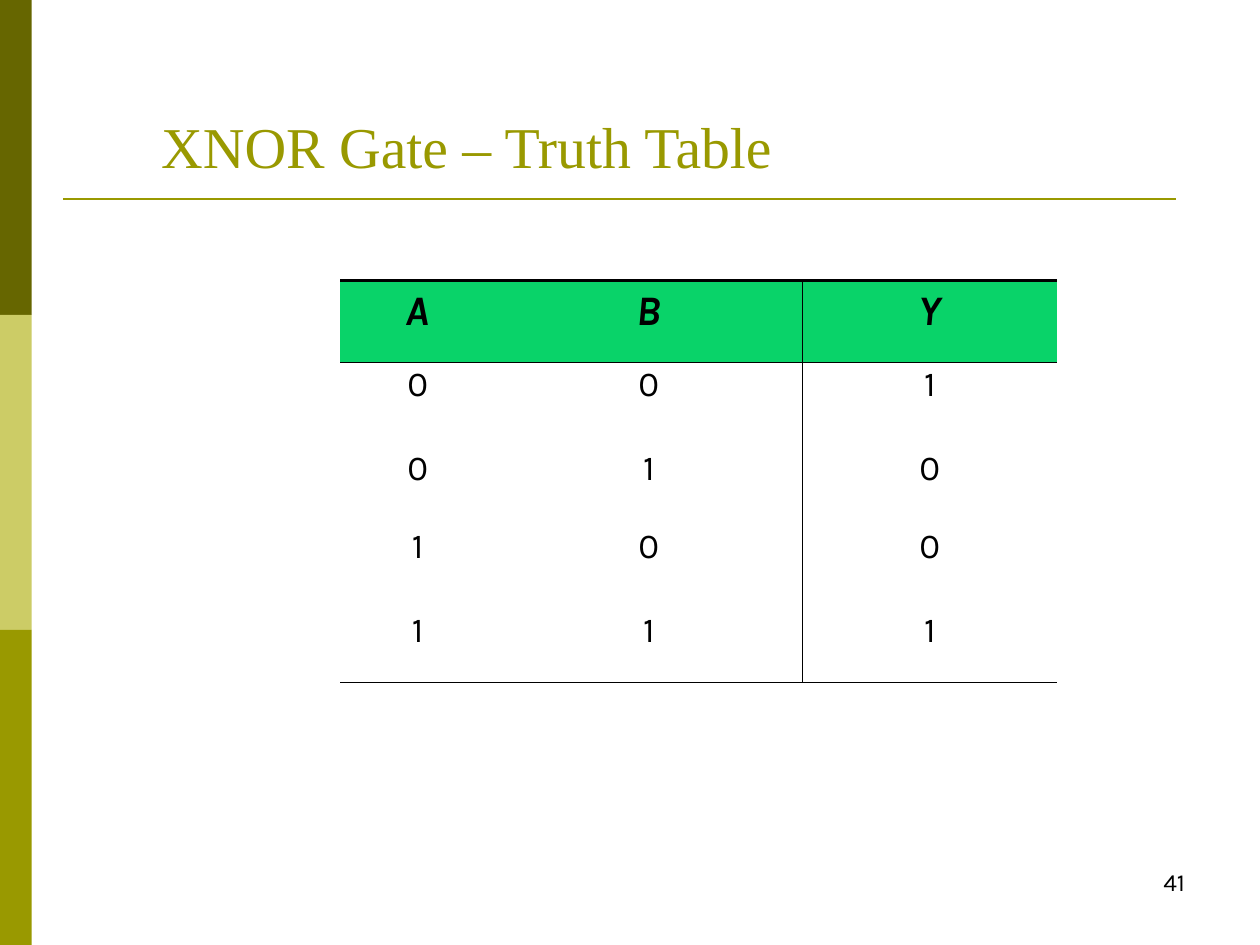
"""Build the XNOR gate truth table slide."""
from lxml.etree import SubElement
from pptx import Presentation
from pptx.dml.color import RGBColor
from pptx.enum.shapes import MSO_CONNECTOR as Connector, MSO_SHAPE as Shape
from pptx.enum.text import MSO_ANCHOR as Anchor, PP_ALIGN as Align
from pptx.oxml.ns import qn
from pptx.util import Cm, Pt


def color(value):
    return RGBColor.from_string(value)


def write(frame, text, align, fonts, **spacing):
    paragraph = frame.paragraphs[0]
    paragraph.alignment = align
    for key, value in spacing.items():
        setattr(paragraph, key, value)
    run = paragraph.add_run()
    run.text = text
    run.font.color.rgb = color(fonts["color"])
    for key in fonts.keys() - {"color"}:
        setattr(run.font, key, fonts[key])


OLIVE, BLACK, GREEN = "999900", "000000", "09D369"
TITLE = {"name": "Times New Roman", "size": Pt(33), "color": OLIVE}
HEADER = {"name": "Karla", "size": Pt(24), "color": BLACK, "bold": True, "italic": True}
BODY = {"name": "Karla", "size": Pt(20), "color": BLACK, "bold": False}
NUMBER = {"name": "Karla", "size": Pt(14), "color": BLACK}

deck = Presentation()
deck.slide_width, deck.slide_height = Cm(25.4), Cm(19.05)
slide = deck.slides.add_slide(deck.slide_layouts[6])
shapes = slide.shapes

for index, shade in enumerate(["666600", "CCCC66", OLIVE]):
    band = shapes.add_shape(Shape.RECTANGLE, 0, Cm(6.35 * index), Cm(0.64), Cm(6.35))
    band.shadow.inherit = False
    band.fill.solid()
    band.fill.fore_color.rgb = color(shade)
    band.line.fill.background()

rule = shapes.add_connector(Connector.STRAIGHT, Cm(1.27), Cm(4.01), Cm(23.7), Cm(4.01))
rule.line.color.rgb = color(OLIVE)
rule.line.width = Pt(1.5)
SubElement(rule._element.spPr, qn("a:effectLst"))

for text, place, anchor, align, fonts in [
    ("XNOR Gate – Truth Table", (3, 1.35, 21.6, 3.18), Anchor.MIDDLE, Align.LEFT, TITLE),
    ("41", (18.21, 17.35, 5.93, 1.27), Anchor.TOP, Align.RIGHT, NUMBER),
]:
    frame = shapes.add_textbox(*map(Cm, place)).text_frame
    frame.word_wrap = True
    frame.vertical_anchor = anchor
    write(frame, text, align, fonts)

truth = [["A", "B", "Y"]] + [[a, b, int(a == b)] for a in (0, 1) for b in (0, 1)]
widths = [3.12, 6.2, 5.13]
heights = [1.65, 1.68, 1.57, 1.7, 1.5]
table = shapes.add_table(len(truth), len(widths), Cm(6.86), Cm(5.66),
                         Cm(sum(widths)), Cm(sum(heights))).table
table.first_row = table.horz_banding = False
for column, width in zip(table.columns, widths):
    column.width = Cm(width)
for row, height in zip(table.rows, heights):
    row.height = Cm(height)

last = len(truth) - 1
for r, values in enumerate(truth):
    for c, value in enumerate(values):
        cell = table.cell(r, c)
        borders = {
            "lnL": 1 if c == 2 else 0,
            "lnR": 1 if c == 1 else 0,
            "lnT": {0: 2.25, 1: 1}.get(r, 0),
            "lnB": 1 if r in (0, last) else 0,
        }
        properties = cell._tc.get_or_add_tcPr()
        for side, points in borders.items():
            edge = SubElement(properties, qn(f"a:{side}"), w=str(Pt(points)))
            if points:
                paint = SubElement(edge, qn("a:solidFill"))
                SubElement(paint, qn("a:srgbClr"), val=BLACK)
            else:
                SubElement(edge, qn("a:noFill"))
        if r == 0:
            cell.fill.solid()
            cell.fill.fore_color.rgb = color(GREEN)
            write(cell.text_frame, value, Align.CENTER, HEADER, space_before=Pt(4.8))
        else:
            cell.fill.background()
            write(cell.text_frame, str(value), Align.CENTER, BODY, line_spacing=0.85)

deck.save("out.pptx")
